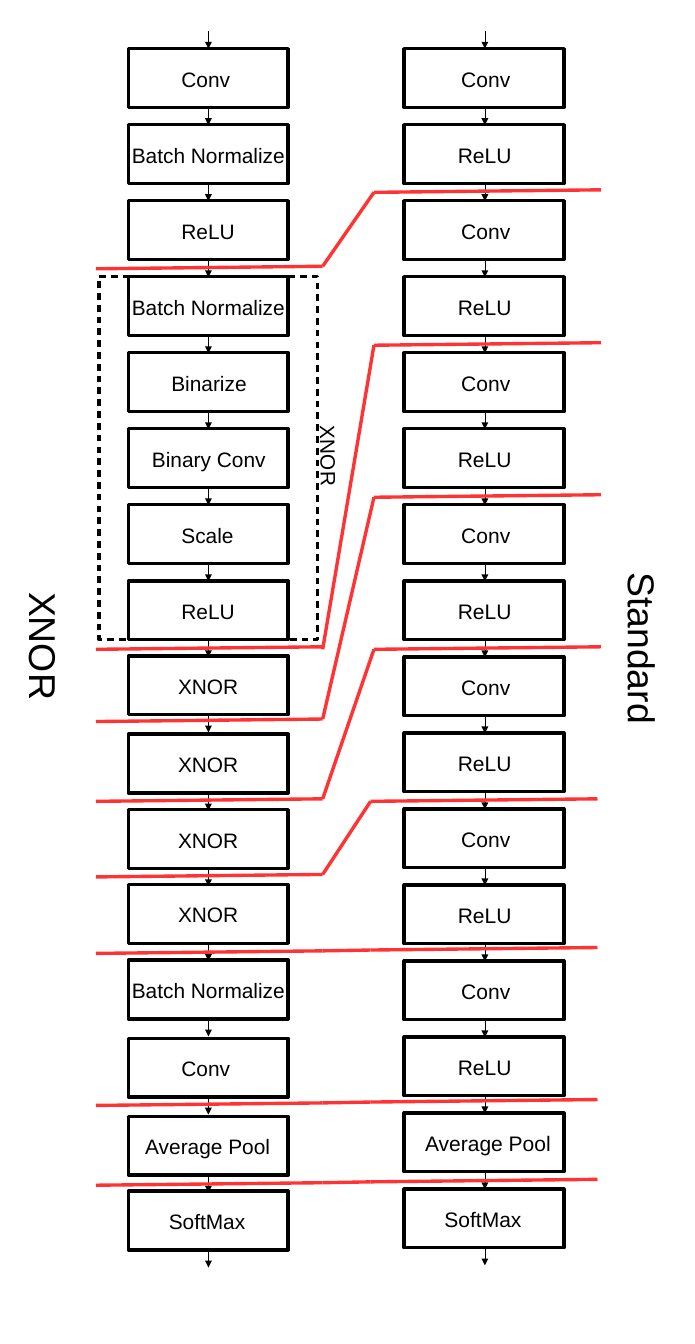
from dataclasses import dataclass

from pptx import Presentation
from pptx.dml.color import RGBColor
from pptx.enum.shapes import MSO_CONNECTOR as Conn, MSO_SHAPE as Shape
from pptx.enum.text import MSO_AUTO_SIZE as Fit
from pptx.oxml.ns import qn
from pptx.util import Inches, Pt
from lxml.etree import SubElement

COLORS = {"ink": "000000", "divider": "FF3333"}
FONT = "Arial"
STROKE = 2.89
BOX_W, BOX_H = 1.9, 0.7
FIRST_TOP, STEP = 0.58, 0.905
ARROW = 0.21
LABEL_DROP, LABEL_H = 0.16, 0.38


@dataclass
class Column:
    left: float
    arrow_x: float
    size: float
    labels: dict[str, tuple[float, float]]
    layers: list[str]
    tops: list[float]


@dataclass
class Divider:
    left_y: float
    right_x: float
    right_y: float
    drop: float = 0


def rgb(name: str) -> RGBColor:
    return RGBColor.from_string(COLORS[name])


def add_box(slide, x: float, y: float, w: float, h: float, dashed: bool = False) -> None:
    sp = slide.shapes.add_shape(Shape.RECTANGLE, Inches(x), Inches(y), Inches(w), Inches(h))
    sp.shadow.inherit = False
    sp.fill.background()
    sp.line.color.rgb = rgb("ink")
    sp.line.width = Pt(STROKE)
    if dashed:
        dash = SubElement(sp._element.spPr.find(qn("a:ln")), qn("a:custDash"))
        SubElement(dash, qn("a:ds"), d="200000", sp="150000")


def add_label(slide, text: str, x: float, y: float, w: float, h: float,
              size: float, rotation: float = 0, wrap: bool = False) -> None:
    sp = slide.shapes.add_textbox(Inches(x), Inches(y), Inches(w), Inches(h))
    sp.rotation = rotation
    tf = sp.text_frame
    tf.word_wrap = wrap
    tf.auto_size = Fit.SHAPE_TO_FIT_TEXT
    p = tf.paragraphs[0]
    p.text = text
    p.font.name = FONT
    p.font.size = Pt(size)
    p.font.color.rgb = rgb("ink")


def add_line(slide, x1: float, y1: float, x2: float, y2: float, color: str):
    ln = slide.shapes.add_connector(Conn.STRAIGHT, Inches(x1), Inches(y1), Inches(x2), Inches(y2))
    ln.line.color.rgb = rgb(color)
    ln.line.width = Pt(STROKE)
    SubElement(ln._element.spPr, qn("a:effectLst"))
    return ln


def add_arrow(slide, x: float, y: float) -> None:
    arrow = add_line(slide, x, y, x, y + ARROW, "ink")
    stroke = arrow._element.spPr.find(qn("a:ln"))
    stroke.set("w", "0")
    SubElement(stroke, qn("a:tailEnd"), type="triangle")


def add_column(slide, col: Column) -> None:
    add_arrow(slide, col.arrow_x, FIRST_TOP - ARROW)
    for layer, top in zip(col.layers, col.tops):
        x, w = col.labels[layer]
        add_box(slide, col.left, top, BOX_W, BOX_H)
        add_label(slide, layer, x, top + LABEL_DROP, w, LABEL_H, col.size)
        add_arrow(slide, col.arrow_x, top + BOX_H)


def add_divider(slide, d: Divider) -> None:
    span, rise, bend_x = 2.7, 0.03, 3.84
    bend_y = d.left_y - rise
    for x1, y1, x2, y2 in (
        (bend_x - span, d.left_y, bend_x, bend_y),
        (bend_x, bend_y + d.drop, d.right_x, d.right_y),
        (d.right_x, d.right_y, d.right_x + span, d.right_y - rise),
    ):
        add_line(slide, x1, y1, x2, y2, "divider")


def even_tops(count: int) -> list[float]:
    return [FIRST_TOP + STEP * i for i in range(count)]


STANDARD = Column(
    4.81, 5.77, 18,
    {"Conv": (5.39, 0.88), "ReLU": (5.35, 0.9),
     "Average Pool": (4.96, 1.8), "SoftMax": (5.19, 1.25)},
    ["Conv", "ReLU"] * 7 + ["Average Pool", "SoftMax"],
    even_tops(16),
)
XNOR = Column(
    1.53, 2.48, 17.9,
    {"Conv": (2.06, 1.15), "Batch Normalize": (1.47, 3.19), "ReLU": (2.06, 1.24),
     "Binarize": (1.94, 1.67), "Binary Conv": (1.71, 2.42), "Scale": (2.06, 1.22),
     "XNOR": (2.02, 1.38), "Average Pool": (1.63, 2.64), "SoftMax": (1.91, 1.69)},
    ["Conv", "Batch Normalize", "ReLU", "Batch Normalize", "Binarize", "Binary Conv",
     "Scale", "ReLU"] + ["XNOR"] * 4 + ["Batch Normalize", "Conv", "Average Pool", "SoftMax"],
    even_tops(8) + [7.81, 8.74, 9.64, 10.53, 11.43, 12.36, 13.29, 14.18],
)
DIVIDERS = [
    Divider(3.2, 4.45, 2.29),
    Divider(7.73, 4.45, 4.11, drop=0.03),
    Divider(8.59, 4.45, 5.92),
    Divider(9.54, 4.45, 7.73),
    Divider(10.44, 4.41, 9.54),
    Divider(11.35, 4.41, 11.31),
    Divider(13.16, 4.41, 13.12),
    Divider(14.11, 4.41, 14.07),
]


def main() -> None:
    prs = Presentation()
    prs.slide_width, prs.slide_height = Inches(8.27), Inches(16)
    slide = prs.slides.add_slide(prs.slide_layouts[6])
    for col in (STANDARD, XNOR):
        add_column(slide, col)
    add_box(slide, 1.18, 3.29, 2.6, 4.32, dashed=True)
    add_label(slide, "XNOR", 3.46, 5.24, 0.92, LABEL_H, 17.9, rotation=89, wrap=True)
    add_label(slide, "XNOR", -0.3, 7.49, 1.68, 0.6, 32, rotation=90)
    add_label(slide, "Standard", 6.66, 7.42, 2.01, 0.6, 32, rotation=90)
    for d in DIVIDERS:
        add_divider(slide, d)
    prs.save("out.pptx")


if __name__ == "__main__":
    main()
